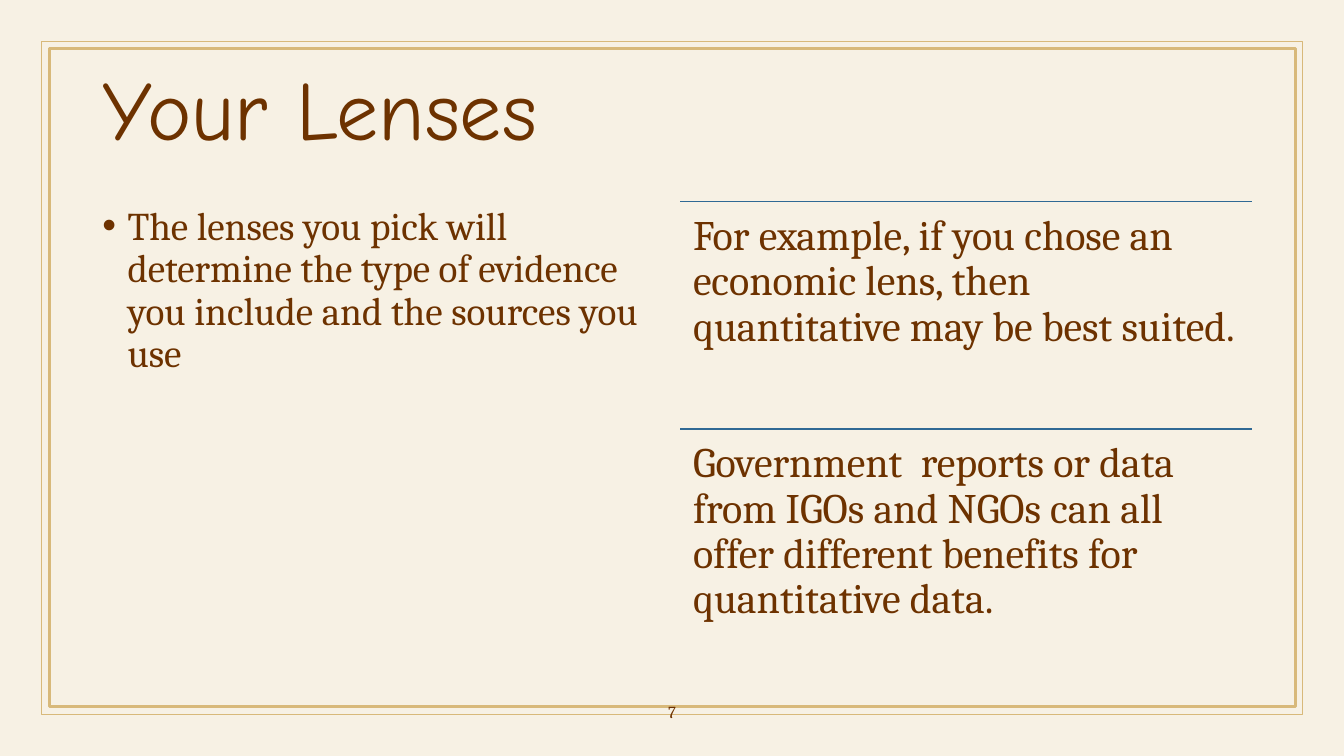
from pptx import Presentation
from pptx import util as u
from pptx.dml.color import RGBColor
from pptx.enum import shapes, text
from pptx.oxml.ns import qn
from lxml import etree

TITLE = "Your Lenses"
BULLET = "The lenses you pick will determine the type of evidence you include and the sources you use"
EXAMPLES = [
    "For example, if you chose an economic lens, then quantitative may be best suited.",
    "Government  reports or data from IGOs and NGOs can all offer different benefits for quantitative data.",
]
PAGE_NUMBER = "7"

CREAM, BROWN, GOLD, BLUE = "F7F1E4", "6D3200", "D8B97A", "306994"
WIDTH, HEIGHT = 960, 540
FRAMES = [((29.5, 29.5, 901, 481), 1), ((35.3, 34.6, 890, 470), 2)]  # box, line width
LEFT, RIGHT, TOP = 66, 486, 144
COLUMN_WIDTH, EXAMPLE_HEIGHT = 408, 162.4


def color(value):
    return RGBColor.from_string(value)


def points(*values):
    return [u.Pt(value) for value in values]


def write(shape, content, size, font="Cambria", spacing=0.9, after=0, align=text.PP_ALIGN.LEFT,
          anchor=text.MSO_ANCHOR.TOP, inset=(7.2, 3.6), bullet=None, indent=0):
    frame = shape.text_frame
    frame.word_wrap = True
    frame.auto_size = text.MSO_AUTO_SIZE.NONE
    frame.vertical_anchor = anchor
    frame.margin_left = frame.margin_right = u.Pt(inset[0])
    frame.margin_top = frame.margin_bottom = u.Pt(inset[1])
    paragraph = frame.paragraphs[0]
    paragraph.alignment = align
    paragraph.line_spacing = spacing
    paragraph.space_before = u.Pt(0)
    paragraph.space_after = u.Pt(after)
    if bullet:
        properties = paragraph._p.get_or_add_pPr()
        properties.set("marL", str(u.Pt(indent)))
        properties.set("indent", str(-u.Pt(indent)))
        etree.SubElement(properties, qn("a:buFont")).set("typeface", "Arial")
        etree.SubElement(properties, qn("a:buChar")).set("char", bullet)
    run = paragraph.add_run()
    run.text = content
    run.font.size = u.Pt(size)
    run.font.name = font
    run.font.color.rgb = color(BROWN)


def add_text(slide, box, content, size, **format):
    write(slide.shapes.add_textbox(*points(*box)), content, size, **format)


def add_rule(slide, left, top, width):
    line = slide.shapes.add_connector(
        shapes.MSO_CONNECTOR.STRAIGHT, *points(left, top, left + width, top))
    line.line.color.rgb = color(BLUE)
    line.line.width = u.Pt(1)
    etree.SubElement(line._element.spPr, qn("a:effectLst"))


def add_frame(slide, box, width):
    frame = slide.shapes.add_shape(shapes.MSO_SHAPE.RECTANGLE, *points(*box))
    frame.shadow.inherit = False
    frame.fill.background()
    frame.line.color.rgb = color(GOLD)
    frame.line.width = u.Pt(width)


def main():
    presentation = Presentation()
    presentation.slide_width, presentation.slide_height = points(WIDTH, HEIGHT)
    slide = presentation.slides.add_slide(presentation.slide_layouts[5])
    slide.background.fill.solid()
    slide.background.fill.fore_color.rgb = color(CREAM)

    for box, width in FRAMES:
        add_frame(slide, box, width)

    title = slide.shapes.title
    title.left, title.top, title.width, title.height = points(LEFT, 28.75, 828, 104.4)
    write(title, TITLE, 60, font="Comic Neue", anchor=text.MSO_ANCHOR.MIDDLE)

    add_text(slide, (LEFT, TOP, COLUMN_WIDTH, 2 * EXAMPLE_HEIGHT), BULLET, 28,
             bullet="•", indent=18)

    for index, example in enumerate(EXAMPLES):
        top = TOP + index * EXAMPLE_HEIGHT
        add_rule(slide, RIGHT, top, COLUMN_WIDTH)
        add_text(slide, (RIGHT, top, COLUMN_WIDTH, EXAMPLE_HEIGHT), example, 30,
                 after=10.5, inset=(9, 9))

    add_text(slide, (458.4, 494, 43.2, 28.8), PAGE_NUMBER, 12, spacing=1, after=6,
             align=text.PP_ALIGN.CENTER, anchor=text.MSO_ANCHOR.MIDDLE)

    presentation.save("out.pptx")


if __name__ == "__main__":
    main()
